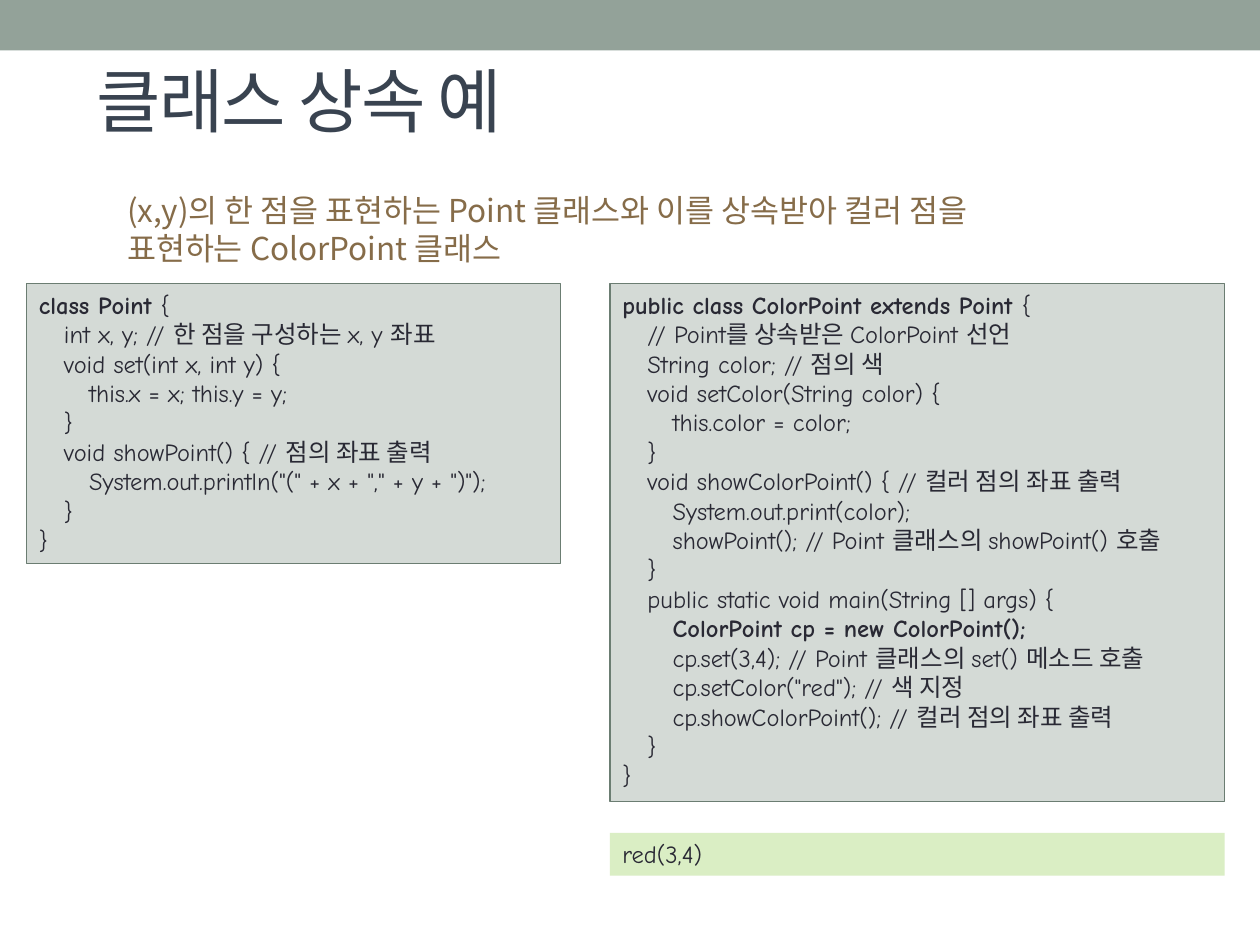
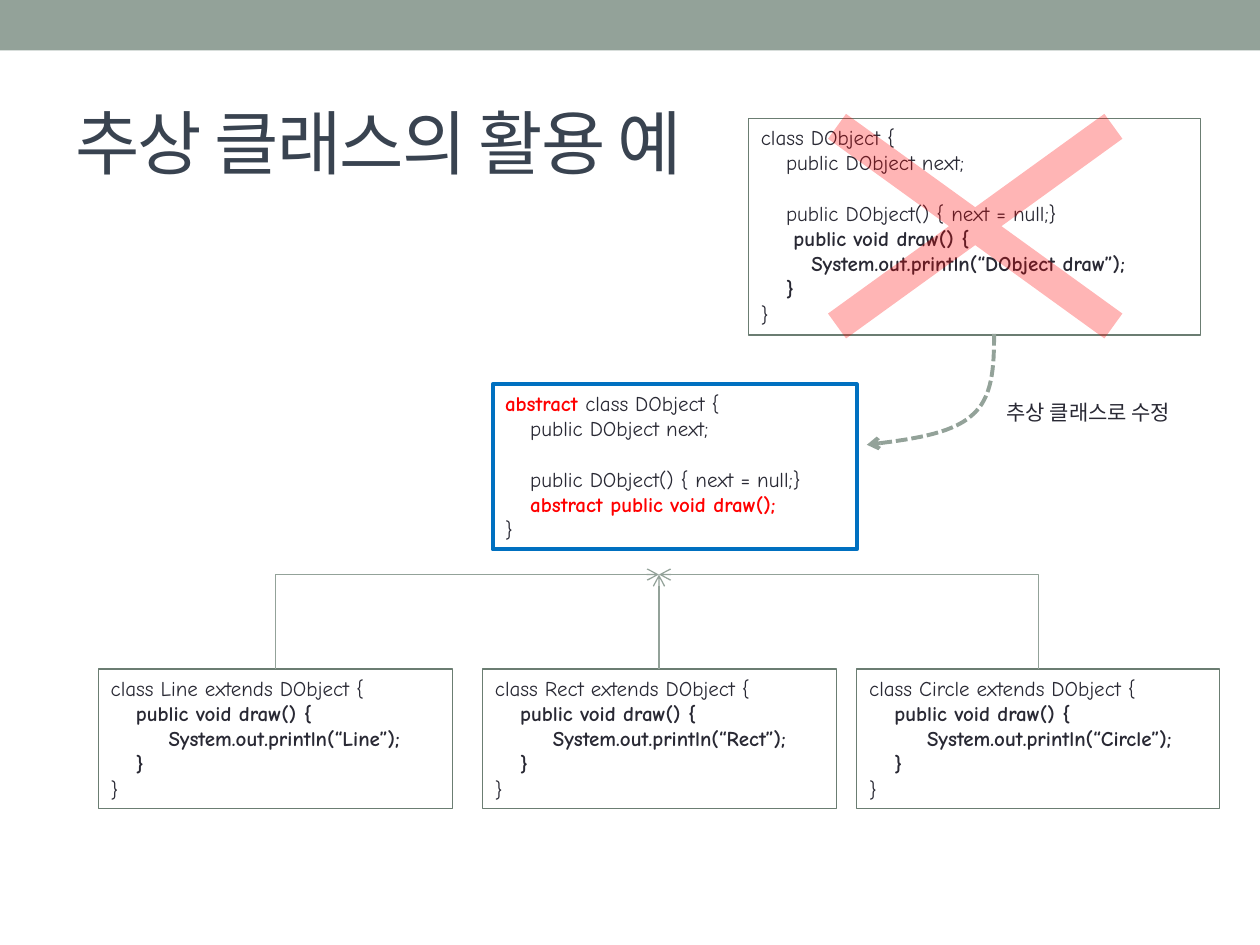
from pptx import Presentation
from pptx.dml.color import RGBColor
from pptx.enum.dml import MSO_LINE
from pptx.enum.shapes import MSO_CONNECTOR, MSO_SHAPE
from pptx.enum.text import MSO_ANCHOR, PP_ALIGN
from pptx.oxml.ns import qn
from pptx.util import Inches, Pt
from lxml import etree

RECT, CROSS = MSO_SHAPE.RECTANGLE, MSO_SHAPE.MATH_MULTIPLY
ELBOW, STRAIGHT = MSO_CONNECTOR.ELBOW, MSO_CONNECTOR.STRAIGHT
TOP, MIDDLE, LEFT = MSO_ANCHOR.TOP, MSO_ANCHOR.MIDDLE, PP_ALIGN.LEFT
DASH = MSO_LINE.SQUARE_DOT

HEX = {"band": "93A299", "title": "394350", "lead": "866C49", "ink": "292934",
       "code": "D4DAD6", "edge": "6B7D72", "result": "DAEEC4",
       "blue": "0070C0", "red": "FF0000"}
CODE_FONT, KO_FONT = "Comic Neue", "Noto Sans CJK KR"
TAB = 0.2

# In code, *...* marks emphasis.
LEAD = "(x,y)의 한 점을 표현하는 Point 클래스와 이를 상속받아 컬러 점을 표현하는 ColorPoint 클래스"
POINT = [
    "*class Point *{",
    "\tint x, y; // 한 점을 구성하는 x, y 좌표",
    "\tvoid set(int x, int y) {",
    "\t\tthis.x = x; this.y = y;",
    "\t}",
    "\tvoid showPoint() { // 점의 좌표 출력",
    '\t\tSystem.out.println("(" + x + "," + y + ")");',
    "\t}",
    "}",
]
COLOR_POINT = [
    "*public class ColorPoint extends Point *{",
    "\t// Point를 상속받은 ColorPoint 선언",
    "\tString color; // 점의 색",
    "\tvoid setColor(String color) {",
    "\t\tthis.color = color;",
    "\t}",
    "\tvoid showColorPoint() { // 컬러 점의 좌표 출력",
    "\t\tSystem.out.print(color);",
    "\t\tshowPoint(); // Point 클래스의 showPoint() 호출",
    "\t}",
    "\tpublic static void main(String [] args) {",
    "\t\t*ColorPoint cp = new ColorPoint();*",
    "\t\tcp.set(3,4); // Point 클래스의 set() 메소드 호출",
    '\t\tcp.setColor("red"); // 색 지정',
    "\t\tcp.showColorPoint(); // 컬러 점의 좌표 출력",
    "\t}",
    "}",
]
FIELDS = ["\tpublic DObject next;", "", "\tpublic DObject() { next = null;}"]
ABSTRACT = ["*abstract *class DObject {", *FIELDS,
            "\t*abstract public void draw();*", "}"]
PLAIN = ["class DObject {", *FIELDS, "\t* public void draw() {*",
         "\t\t*System.out.println(“DObject draw”);*", "\t*}*", "}"]
KIDS = [("Line", 0.78, 2.81), ("Rect", 3.83, 2.81), ("Circle", 6.8, 2.88)]
KID_TOP, KID_HIGH = 5.31, 1.11
JOIN = (5.23, 4.56)
CURVE = [
    [(7.89, 2.65), (7.89, 2.91), (7.88, 3.16), (7.71, 3.3)],
    [(7.71, 3.3), (7.54, 3.45), (7.21, 3.49), (6.88, 3.53)],
]


def rgb(name):
    return RGBColor.from_string(HEX[name])


def put(slide, kind, at, fill=None, line=None, width=0.75):
    shape = slide.shapes.add_shape(kind, *map(Inches, at))
    shape.shadow.inherit = False
    if fill:
        shape.fill.solid()
        shape.fill.fore_color.rgb = rgb(fill)
    else:
        shape.fill.background()
    if line:
        shape.line.color.rgb = rgb(line)
        shape.line.width = Pt(width)
    else:
        shape.line.fill.background()
    return shape


def write(shape, lines, size=12, font=CODE_FONT, color="ink", hot="ink",
          anchor=TOP, wrap=True, spc=None):
    """Fill a shape with lines; *marked* parts are bold in the hot colour."""
    frame = shape.text_frame
    frame.word_wrap, frame.vertical_anchor = wrap, anchor
    for i, line in enumerate(lines):
        para = frame.paragraphs[0] if i == 0 else frame.add_paragraph()
        para.alignment = LEFT
        if "\t" in line:
            tabs = etree.SubElement(para._p.get_or_add_pPr(), qn("a:tabLst"))
            for n in (1, 2):
                etree.SubElement(tabs, qn("a:tab"), pos=str(Inches(TAB * n)), algn="l")
        if not line:
            etree.SubElement(para._p, qn("a:endParaRPr"), sz=str(size * 100))
        for j, part in enumerate(line.split("*")):
            if not part:
                continue
            run = para.add_run()
            run.text = part
            face = run.font
            face.size, face.name, face.bold = Pt(size), font, j % 2 == 1
            face.color.rgb = rgb(hot if j % 2 else color)
            props = run._r.get_or_add_rPr()
            etree.SubElement(props, qn("a:ea"), typeface=KO_FONT)
            if spc:
                props.set("spc", str(spc))


def label(slide, at, text, **style):
    write(slide.shapes.add_textbox(*map(Inches, at)), [text], **style)


def start(deck, title, at):
    """Add a slide with the shared band and title."""
    slide = deck.slides.add_slide(deck.slide_layouts[6])
    put(slide, RECT, (0, 0, 10, 0.4), fill="band")
    label(slide, at, title, size=40, font=KO_FONT, color="title",
          anchor=MIDDLE, spc=-100)
    return slide


def arrow(shape, end, width):
    shape.line.color.rgb = rgb("band")
    shape.line.width = Pt(width)
    etree.SubElement(shape.line._get_or_add_ln(), qn("a:" + end), type="arrow")


def link(slide, x):
    """Join a subclass centred on x to the shared arrow point."""
    bent = abs(x - JOIN[0]) > 0.05
    end = x if bent else JOIN[0]
    wire = slide.shapes.add_connector(
        ELBOW if bent else STRAIGHT, *map(Inches, (*JOIN, end, KID_TOP)))
    props = wire._element.spPr
    if bent:
        props.find(qn("a:prstGeom")).set("prst", "bentConnector2")
    arrow(wire, "headEnd", 0.75)
    etree.SubElement(props, qn("a:effectLst"))


def bezier(pts, t):
    mix = ((1 - t) ** 3, 3 * t * (1 - t) ** 2, 3 * t * t * (1 - t), t ** 3)
    return tuple(Inches(sum(m * p[k] for m, p in zip(mix, pts))) for k in (0, 1))


def sweep(slide, steps=16):
    """Draw the dashed curve towards the abstract class."""
    dots = [bezier(part, n / steps) for part in CURVE for n in range(1, steps + 1)]
    pen = slide.shapes.build_freeform(*bezier(CURVE[0], 0))
    pen.add_line_segments(dots, close=False)
    shape = pen.convert_to_shape()
    shape.shadow.inherit = False
    shape.fill.background()
    shape.line.dash_style = DASH
    arrow(shape, "tailEnd", 2.25)


def inherit(deck):
    slide = start(deck, "클래스 상속 예", (0.67, 0.25, 8.92, 1.08))
    label(slide, (0.91, 1.47, 7.72, 0.71), LEAD, size=18, font=KO_FONT, color="lead")
    for at, code in (((4.84, 2.25, 4.88, 4.11), COLOR_POINT),
                     ((0.21, 2.25, 4.24, 2.22), POINT)):
        write(put(slide, RECT, at, fill="code", line="edge"), code, size=14)
    write(put(slide, RECT, (4.84, 6.61, 4.88, 0.34), fill="result"),
          ["red(3,4)"], size=14)


def abstract(deck):
    slide = start(deck, "추상 클래스의 활용 예", (0.5, 0.58, 9, 1.08))
    for name, x, wide in KIDS:
        code = [f"class {name} extends DObject {{", "\t*public void draw() {*",
                f"\t\t* System.out.println(“{name}”);*", "\t*}*", "}"]
        write(put(slide, RECT, (x, KID_TOP, wide, KID_HIGH), line="edge"), code)
        link(slide, x + wide / 2)
    write(put(slide, RECT, (3.91, 3.05, 2.89, 1.31), line="blue", width=2.25),
          ABSTRACT, hot="red")
    write(put(slide, RECT, (5.94, 0.94, 3.59, 1.72), line="edge"), PLAIN)
    cross = put(slide, CROSS, (5.63, 0.27, 4.22, 3.05), fill="red")
    cross.adjustments[0] = 0.08
    tint = cross._element.spPr.find(qn("a:solidFill"))[0]
    etree.SubElement(tint, qn("a:alpha"), val="29000")
    sweep(slide)
    label(slide, (7.89, 3.12, 1.67, 0.3), "추상 클래스로 수정", wrap=False)


def main():
    deck = Presentation()
    deck.slide_width, deck.slide_height = Inches(10), Inches(7.5)
    inherit(deck)
    abstract(deck)
    deck.save("out.pptx")


if __name__ == "__main__":
    main()
